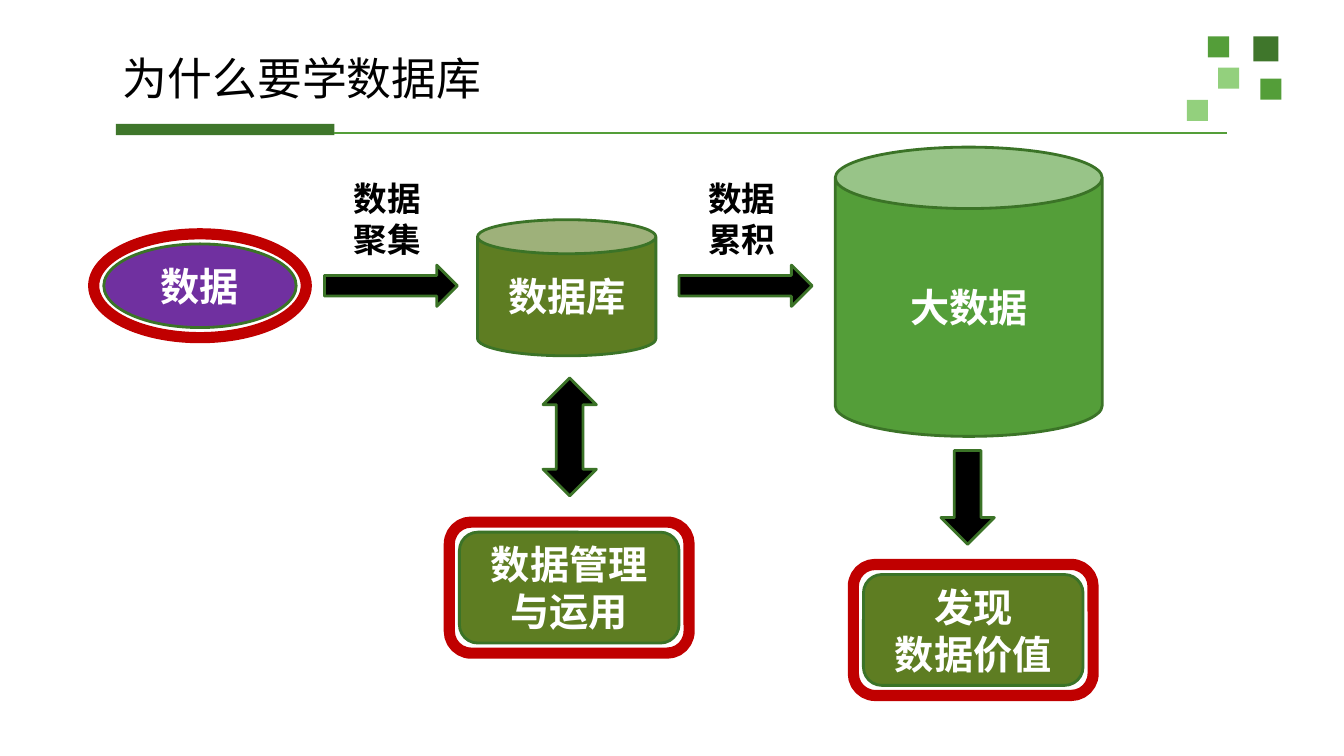
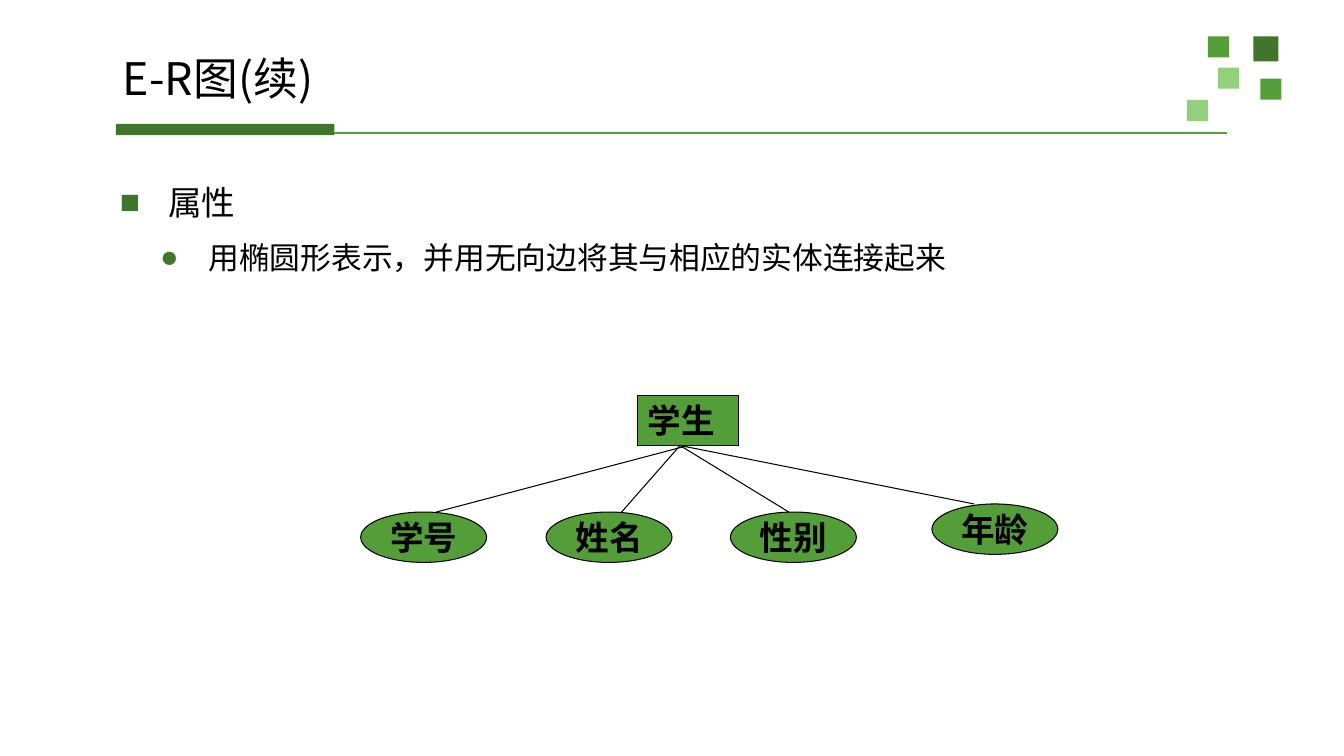
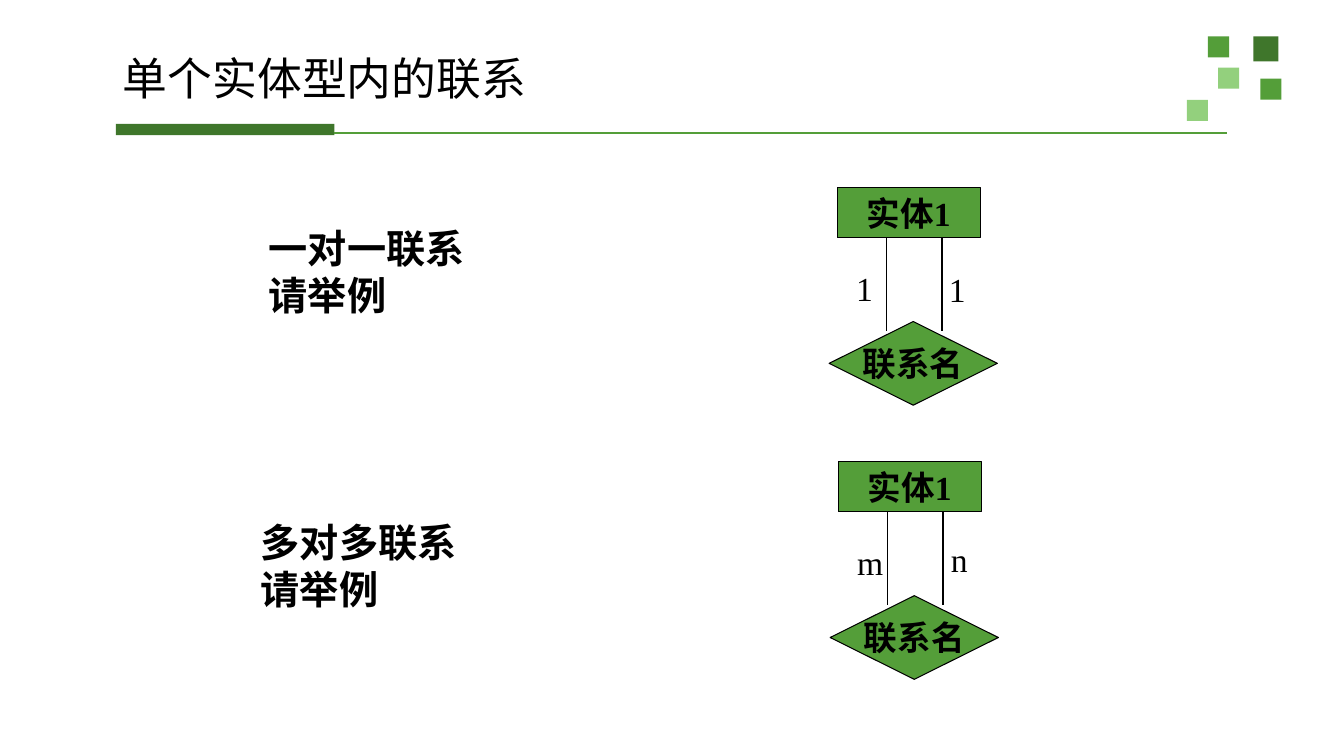
from dataclasses import dataclass
from typing import Any, NamedTuple, Optional

from lxml import etree
from pptx import Presentation
from pptx.dml.color import RGBColor
from pptx.enum.shapes import MSO_CONNECTOR, MSO_SHAPE, PP_PLACEHOLDER
from pptx.enum.text import MSO_ANCHOR, MSO_AUTO_SIZE, PP_ALIGN
from pptx.oxml.ns import qn
from pptx.util import Inches, Pt

RECT, OVAL, DIAMOND = MSO_SHAPE.RECTANGLE, MSO_SHAPE.OVAL, MSO_SHAPE.DIAMOND
ROUNDED, CAN = MSO_SHAPE.ROUNDED_RECTANGLE, MSO_SHAPE.CAN
RIGHT_ARROW, DOWN_ARROW = MSO_SHAPE.RIGHT_ARROW, MSO_SHAPE.DOWN_ARROW
UP_DOWN_ARROW = MSO_SHAPE.UP_DOWN_ARROW
STRAIGHT = MSO_CONNECTOR.STRAIGHT
TOP, MIDDLE = MSO_ANCHOR.TOP, MSO_ANCHOR.MIDDLE
LEFT, CENTER = PP_ALIGN.LEFT, PP_ALIGN.CENTER
FIXED, GROW = MSO_AUTO_SIZE.NONE, MSO_AUTO_SIZE.SHAPE_TO_FIT_TEXT
TITLE_ONLY = 5
BOTTOM_SIDE = 2


# Theme
@dataclass(frozen=True)
class Theme:
    dark: str = "3F762B"
    green: str = "549E39"
    light: str = "93D07D"
    olive: str = "5E7D22"
    outline: str = "3B7327"
    purple: str = "7030A0"
    red: str = "C00000"
    black: str = "000000"
    white: str = "FFFFFF"
    cjk: str = "Noto Sans CJK SC"
    title: int = 32
    large: int = 28
    medium: int = 24
    small: int = 22
    thin: float = 0.75
    medium_line: int = 2
    thick: int = 8


THEME = Theme()


class Box(NamedTuple):
    left: float
    top: float
    width: float
    height: float

    def inset(self, gap: float) -> "Box":
        return Box(self.left + gap, self.top + gap,
                   self.width - 2 * gap, self.height - 2 * gap)


@dataclass(frozen=True)
class TextStyle:
    size: int
    font: str
    color: str = THEME.black
    bold: bool = True
    align: Any = LEFT
    anchor: Any = TOP
    wrap: bool = True
    fit: Any = FIXED
    margins: tuple[float, float] = (0.1, 0.05)
    line_spacing: Optional[float] = None


@dataclass(frozen=True)
class ShapeStyle:
    fill: str
    line: Optional[str] = None
    weight: float = THEME.thin


TITLE = TextStyle(THEME.title, THEME.cjk, bold=False, anchor=MIDDLE,
                  margins=(0.08, 0.04), line_spacing=0.9)
NODE_TEXT = TextStyle(THEME.large, "Calibri", THEME.white, align=CENTER, anchor=MIDDLE)
STEP_TEXT = TextStyle(THEME.medium, "Arial", fit=GROW)
NOTE_TEXT = TextStyle(THEME.large, "Arial", fit=GROW)
STUDENT_TEXT = TextStyle(THEME.medium, "Times New Roman", fit=GROW)
ENTITY_TEXT = TextStyle(THEME.medium, "Times New Roman", align=CENTER, fit=GROW)
ER_TEXT = TextStyle(THEME.medium, "Times New Roman", align=CENTER, anchor=MIDDLE, wrap=False)
ROLE_TEXT = TextStyle(THEME.medium, "Times New Roman", bold=False, fit=GROW)
BODY_TEXT = TextStyle(THEME.medium, THEME.cjk, bold=False,
                      margins=(0.08, 0.04), line_spacing=1.3)

ARROW = ShapeStyle(THEME.black, THEME.outline, THEME.medium_line)
OLIVE_NODE = ShapeStyle(THEME.olive, THEME.outline, THEME.medium_line)
GREEN_NODE = ShapeStyle(THEME.green, THEME.outline, THEME.medium_line)
PURPLE_NODE = ShapeStyle(THEME.purple, THEME.outline, THEME.medium_line)
RING = ShapeStyle(THEME.white, THEME.red, THEME.thick)
ER_NODE = ShapeStyle(THEME.green, THEME.black)


# Drawing helpers
def lengths(box: Box) -> list:
    return [Inches(value) for value in box]


def set_font(run, style: TextStyle, size: int) -> None:
    values = {"name": style.font, "size": Pt(size), "bold": style.bold}
    for key, value in values.items():
        setattr(run.font, key, value)
    run.font.color.rgb = RGBColor.from_string(style.color)
    east_asian = etree.SubElement(run._r.get_or_add_rPr(), qn("a:ea"))
    east_asian.set("typeface", THEME.cjk)


def write(frame, text: str, style: TextStyle) -> None:
    across, down = (Inches(margin) for margin in style.margins)
    values = {"text": text, "word_wrap": style.wrap, "auto_size": style.fit,
              "vertical_anchor": style.anchor, "margin_left": across,
              "margin_right": across, "margin_top": down, "margin_bottom": down}
    for key, value in values.items():
        setattr(frame, key, value)
    for paragraph in frame.paragraphs:
        paragraph.alignment = style.align
        paragraph.line_spacing = style.line_spacing
        for run in paragraph.runs:
            set_font(run, style, style.size)


def add_shape(slide, kind, box: Box, look: ShapeStyle, text: str = "",
              style: TextStyle = NODE_TEXT, adjust: Optional[float] = None):
    shape = slide.shapes.add_shape(kind, *lengths(box))
    shape.shadow.inherit = False
    shape.fill.solid()
    shape.fill.fore_color.rgb = RGBColor.from_string(look.fill)
    if look.line:
        shape.line.color.rgb = RGBColor.from_string(look.line)
        shape.line.width = Pt(look.weight)
    else:
        shape.line.fill.background()
    if adjust is not None:
        shape.adjustments[0] = adjust
    if text:
        write(shape.text_frame, text, style)
    return shape


def add_text(slide, box: Box, text: str, style: TextStyle):
    label = slide.shapes.add_textbox(*lengths(box))
    write(label.text_frame, text, style)
    return label


def add_line(slide, start: tuple[float, float], end: tuple[float, float],
             color: str = THEME.black, weight: float = THEME.thin):
    line = slide.shapes.add_connector(STRAIGHT, *(Inches(v) for v in (*start, *end)))
    line.line.color.rgb = RGBColor.from_string(color)
    line.line.width = Pt(weight)
    etree.SubElement(line.element.spPr, qn("a:effectLst"))
    return line


def add_ringed(slide, kind, box: Box, look: ShapeStyle, text: str) -> None:
    add_shape(slide, kind, box, RING)
    add_shape(slide, kind, box.inset(0.1), look, text)


def add_bullet(paragraph, mark: str, margin: float, hang: float) -> None:
    properties = paragraph._p.get_or_add_pPr()
    properties.set("marL", str(Inches(margin)))
    properties.set("indent", str(-Inches(hang)))
    color = etree.SubElement(properties, qn("a:buClr"))
    etree.SubElement(color, qn("a:srgbClr")).set("val", THEME.dark)
    etree.SubElement(properties, qn("a:buFont")).set("typeface", "Arial")
    etree.SubElement(properties, qn("a:buChar")).set("char", mark)


# Shared layout: corner squares and the rule under the title
def decorate_layout(layout, slide) -> None:
    tree = layout.shapes.element
    for holder in list(layout.placeholders):
        if holder.placeholder_format.type != PP_PLACEHOLDER.TITLE:
            tree.remove(holder.element)
    squares = [(12.44, 0.36, 0.25, THEME.dark), (11.99, 0.36, 0.21, THEME.green),
               (12.51, 0.78, 0.21, THEME.green), (12.09, 0.67, 0.21, THEME.light),
               (11.78, 0.99, 0.21, THEME.light)]
    decor = [add_shape(slide, RECT, Box(left, top, side, side), ShapeStyle(color))
             for left, top, side, color in squares]
    decor.append(add_shape(slide, RECT, Box(1.15, 1.23, 2.17, 0.11), ShapeStyle(THEME.dark)))
    decor.append(add_line(slide, (3.32, 1.32), (12.18, 1.32), THEME.green, THEME.medium_line))
    for part in decor:
        tree.append(part.element)


def new_slide(deck, title: str):
    slide = deck.slides.add_slide(deck.slide_layouts[TITLE_ONLY])
    heading = slide.shapes.title
    place = dict(zip(("left", "top", "width", "height"),
                     lengths(Box(1.14, 0.35, 11.28, 0.91))))
    for key, value in place.items():
        setattr(heading, key, value)
    write(heading.text_frame, title, TITLE)
    return slide


# Slide 1: from data to big data
def draw_reasons(slide) -> None:
    add_ringed(slide, OVAL, Box(0.93, 2.32, 2.11, 1.03), PURPLE_NODE, "数据")
    add_shape(slide, CAN, Box(4.74, 2.18, 1.77, 1.35), OLIVE_NODE, "数据库", adjust=0.25)
    add_shape(slide, CAN, Box(8.29, 1.46, 2.65, 2.87), GREEN_NODE, "大数据", adjust=0.23)
    for left, step in ((3.22, "数据聚集"), (6.74, "数据累积")):
        add_shape(slide, RIGHT_ARROW, Box(left, 2.63, 1.32, 0.41), ARROW)
        add_text(slide, Box(left + 0.19, 1.72, 0.95, 0.9), step, STEP_TEXT)
    add_shape(slide, UP_DOWN_ARROW, Box(5.39, 3.75, 0.53, 1.17), ARROW)
    add_shape(slide, DOWN_ARROW, Box(9.34, 4.47, 0.53, 0.93), ARROW)
    add_ringed(slide, ROUNDED, Box(4.46, 5.18, 2.38, 1.3), OLIVE_NODE, "数据管理与运用")
    add_ringed(slide, ROUNDED, Box(8.47, 5.6, 2.38, 1.3), OLIVE_NODE, "发现\n数据价值")


# Slide 2: an entity and its attributes
class Attribute(NamedTuple):
    name: str
    left: float
    top: float
    edge_start: float
    edge_end: float


ATTRIBUTES = [Attribute("学号", 3.58, 5.08, 6.83, 4.33),
              Attribute("姓名", 5.42, 5.08, 6.75, 6.17),
              Attribute("性别", 7.25, 5.08, 6.75, 7.83),
              Attribute("年龄", 9.25, 5.0, 6.75, 9.67)]


def draw_attributes(slide) -> None:
    body = add_text(slide, Box(1.11, 1.64, 11.31, 5.38),
                    "属性\n用椭圆形表示，并用无向边将其与相应的实体连接起来", BODY_TEXT)
    topic, detail = body.text_frame.paragraphs
    add_bullet(topic, "■", 0.48, 0.48)
    add_bullet(detail, "●", 0.88, 0.48)
    detail.level = 1
    detail.space_before = Pt(4)
    detail.runs[0].font.size = Pt(THEME.small)

    entity = Box(6.33, 3.92, 1, 0.5)
    entity_bottom = entity.top + entity.height
    student = add_shape(slide, RECT, entity, ER_NODE, "学生", STUDENT_TEXT)
    for item in ATTRIBUTES:
        add_shape(slide, OVAL, Box(item.left, item.top, 1.25, 0.5), ER_NODE, item.name, ER_TEXT)
        edge = add_line(slide, (item.edge_start, entity_bottom), (item.edge_end, item.top))
        if item.edge_start == entity.left + entity.width / 2:
            edge.begin_connect(student, BOTTOM_SIDE)


# Slide 3: relationships within one entity type
class Role(NamedTuple):
    name: str
    label_left: float
    label_top: float
    edge: float


class Relation(NamedTuple):
    left: float
    top: float
    note: str
    note_left: float
    note_top: float
    roles: tuple[Role, ...]


RELATIONS = [
    Relation(8.31, 1.86, "一对一联系\n请举例", 2.57, 2.18,
             (Role("1", 0.09, 0.75, 0.49), Role("1", 1.01, 0.76, 1.04))),
    Relation(8.32, 4.58, "多对多联系\n请举例", 2.49, 5.09,
             (Role("m", 0.09, 0.75, 0.49), Role("n", 1.02, 0.72, 1.04))),
]


def draw_relation(slide, relation: Relation) -> None:
    left, top = relation.left, relation.top
    add_shape(slide, RECT, Box(left, top, 1.42, 0.5), ER_NODE, "实体1", ENTITY_TEXT)
    add_shape(slide, DIAMOND, Box(left - 0.08, top + 1.33, 1.67, 0.83), ER_NODE,
              "联系名", ER_TEXT)
    for role in relation.roles:
        add_line(slide, (left + role.edge, top + 1.42), (left + role.edge, top + 0.5))
        add_text(slide, Box(left + role.label_left, top + role.label_top, 0.42, 0.5),
                 role.name, ROLE_TEXT)
    add_text(slide, Box(relation.note_left, relation.note_top, 6.38, 1.04),
             relation.note, NOTE_TEXT)


def main() -> None:
    deck = Presentation()
    deck.slide_width, deck.slide_height = Inches(13.34), Inches(7.5)

    reasons = new_slide(deck, "为什么要学数据库")
    decorate_layout(reasons.slide_layout, reasons)
    draw_reasons(reasons)

    draw_attributes(new_slide(deck, "E-R图(续)"))

    relations = new_slide(deck, "单个实体型内的联系")
    for relation in RELATIONS:
        draw_relation(relations, relation)

    deck.save("out.pptx")


if __name__ == "__main__":
    main()
